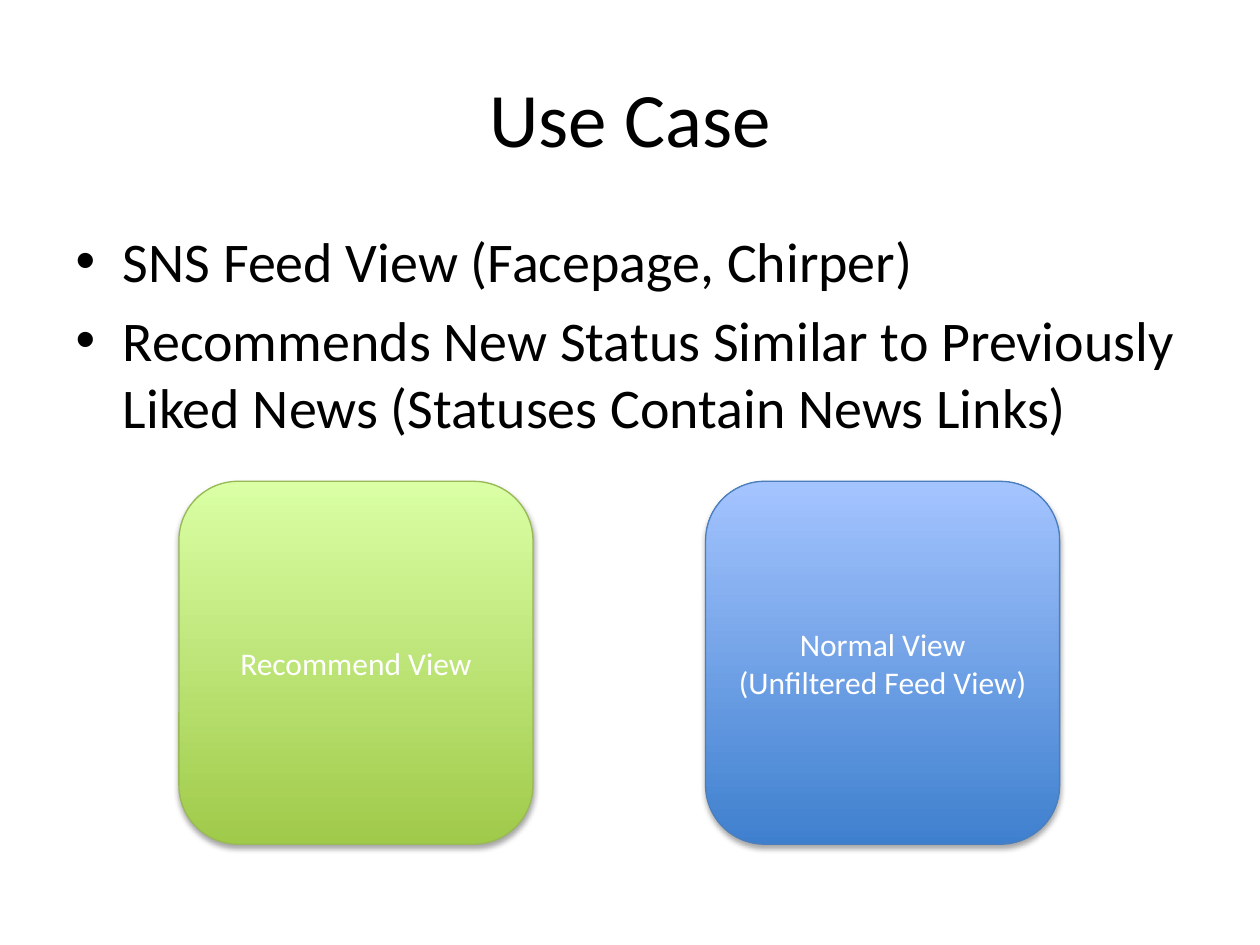
from dataclasses import dataclass

from lxml.etree import SubElement
from pptx import Presentation
from pptx.dml.color import RGBColor as RGB
from pptx.enum.shapes import MSO_SHAPE as Shape
from pptx.enum.text import MSO_ANCHOR as Anchor, PP_ALIGN as Align
from pptx.oxml.ns import qn
from pptx.util import Inches, Pt


@dataclass(frozen=True)
class Theme:
    """Font, colours and type sizes of the slide."""
    font: str = "Calibri"
    text: str = "000000"
    on_fill: str = "FFFFFF"
    shadow: str = "000000"
    title_pt: int = 44
    body_pt: int = 32
    label_pt: int = 18


@dataclass(frozen=True)
class ViewBox:
    """A feed view with its gradient from bottom to top."""
    lines: tuple[str, ...]
    left: float
    bottom_color: str
    top_color: str
    line_color: str


THEME = Theme()
BOX_TOP, BOX_W, BOX_H = 3.82, 2.81, 2.88
BULLETS = (
    "SNS Feed View (Facepage, Chirper)",
    "Recommends New Status Similar to Previously Liked News "
    "(Statuses Contain News Links)",
)
VIEWS = (
    ViewBox(("Recommend View",), 1.42, "A0CA4A", "DAFFA5", "98B955"),
    ViewBox(("Normal View", "(Unfiltered Feed View)"), 5.6,
            "3F80CE", "A4C4FF", "4B7EBC"),
)


def write(tf, lines: tuple[str, ...], size: int, color: str, align=None) -> None:
    """Write one paragraph per line into a text frame."""
    for i, line in enumerate(lines):
        p = tf.add_paragraph() if i else tf.paragraphs[0]
        p.alignment = align
        r = p.add_run()
        r.text = line
        r.font.name = THEME.font
        r.font.size = Pt(size)
        r.font.color.rgb = RGB.from_string(color)


def place(sp, left: float, top: float, width: float, height: float) -> None:
    """Move and size a placeholder in inches."""
    sp.left, sp.top = Inches(left), Inches(top)
    sp.width, sp.height = Inches(width), Inches(height)


def add_shadow(sp) -> None:
    """Give a shape a soft shadow straight below it."""
    sp.shadow.inherit = False
    effects = sp._element.spPr.find(qn("a:effectLst"))
    outer = SubElement(effects, qn("a:outerShdw"), blurRad=str(Pt(3.1)),
                       dist=str(Pt(1.8)), dir="5400000", rotWithShape="0")
    color = SubElement(outer, qn("a:srgbClr"), val=THEME.shadow)
    SubElement(color, qn("a:alpha"), val="35000")


def add_view(s, view: ViewBox) -> None:
    """Draw a rounded box for one feed view."""
    sp = s.shapes.add_shape(Shape.ROUNDED_RECTANGLE, Inches(view.left),
                            Inches(BOX_TOP), Inches(BOX_W), Inches(BOX_H))
    sp.fill.gradient()
    sp.fill.gradient_angle = 90
    for stop, color in zip(sp.fill.gradient_stops,
                           (view.bottom_color, view.top_color)):
        stop.color.rgb = RGB.from_string(color)
    sp.line.color.rgb = RGB.from_string(view.line_color)
    sp.line.width = Pt(0.75)
    add_shadow(sp)
    tf = sp.text_frame
    tf.word_wrap = True
    tf.vertical_anchor = Anchor.MIDDLE
    write(tf, view.lines, THEME.label_pt, THEME.on_fill, Align.CENTER)


def main() -> None:
    """Build and save the slide."""
    prs = Presentation()
    prs.slide_width, prs.slide_height = Inches(10), Inches(7.5)
    s = prs.slides.add_slide(prs.slide_layouts[1])
    title, body = s.shapes.title, s.placeholders[1]
    place(title, 0.5, 0.3, 9, 1.25)
    write(title.text_frame, ("Use Case",), THEME.title_pt, THEME.text, Align.CENTER)
    place(body, 0.5, 1.75, 9, 4.95)
    write(body.text_frame, BULLETS, THEME.body_pt, THEME.text)
    for view in VIEWS:
        add_view(s, view)
    prs.save("out.pptx")


if __name__ == "__main__":
    main()
